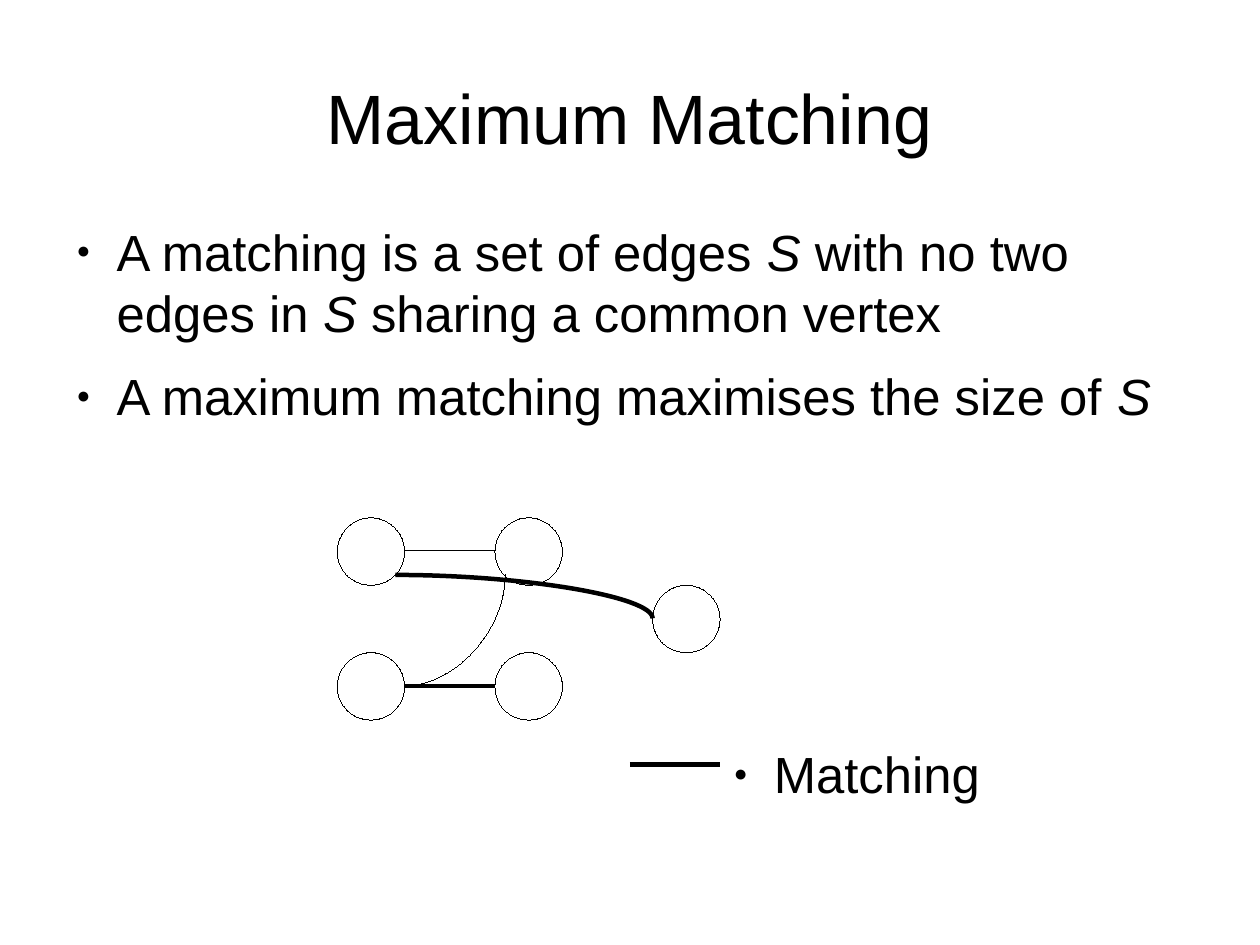
from dataclasses import dataclass

from lxml.etree import SubElement
from pptx import Presentation
from pptx.dml.color import RGBColor
from pptx.enum.shapes import MSO_CONNECTOR, MSO_SHAPE
from pptx.enum.text import MSO_ANCHOR, MSO_AUTO_SIZE, PP_ALIGN
from pptx.oxml.ns import qn
from pptx.util import Inches, Pt

COLORS = {"ink": "000000", "paper": "FFFFFF"}
FONT = "Arial"
CM_PER_INCH = 2.54
DIAMETER = 0.59
COLUMN_STEP = 1.38
GRAPH_LEFT, GRAPH_TOP = 2.95, 4.53
HAIRLINE, THICK = 0.01, 2.83


@dataclass
class Span:
    text: str
    italic: bool = False


@dataclass
class Vertex:
    column: int
    row: int


@dataclass
class Edge:
    start: tuple[float, float]
    end: tuple[float, float]
    width: float


SET_NAME = Span("S", True)
DEFINITIONS = [
    [Span("A matching is a set of edges "), SET_NAME, Span(" with no two edges in "),
     SET_NAME, Span(" sharing a common vertex")],
    [Span("A maximum matching maximises the size of "), SET_NAME],
]
LEGEND = [[Span("Matching")]]
VERTICES = [Vertex(0, 0), Vertex(1, 0), Vertex(0, 2), Vertex(1, 2), Vertex(2, 1)]
EDGES = [
    Edge((3.54, 4.82), (4.33, 4.82), HAIRLINE),
    Edge((3.54, 6), (4.42, 5.03), HAIRLINE),
    Edge((3.46, 5.03), (5.71, 5.41), THICK),
    Edge((3.54, 6), (4.33, 6), THICK),
    Edge((5.51, 6.69), (6.3, 6.69), THICK),
]


def color(name: str) -> RGBColor:
    return RGBColor.from_string(COLORS[name])


def place(box, left: float, top: float, width: float, height: float, anchor) -> None:
    box.left, box.top = Inches(left), Inches(top)
    box.width, box.height = Inches(width), Inches(height)
    frame = box.text_frame
    frame.margin_left = frame.margin_top = frame.margin_right = frame.margin_bottom = 0
    frame.word_wrap = True
    frame.auto_size = MSO_AUTO_SIZE.NONE
    frame.vertical_anchor = anchor


def add_span(para, span: Span, size: float) -> None:
    run = para.add_run()
    run.text = span.text
    run.font.name = FONT
    run.font.size = Pt(size)
    run.font.italic = span.italic
    run.font.color.rgb = color("ink")


def add_bullet(para) -> None:
    properties = para._p.get_or_add_pPr()
    properties.set("marL", str(Inches(0.47)))
    properties.set("indent", str(Inches(-0.35)))
    bullet_color = SubElement(properties, qn("a:buClr"))
    SubElement(bullet_color, qn("a:srgbClr"), val=COLORS["ink"])
    SubElement(properties, qn("a:buSzPct"), val="45000")
    SubElement(properties, qn("a:buFont"), typeface=FONT)
    SubElement(properties, qn("a:buChar"), char="●")


def fill_list(box, items: list[list[Span]]) -> None:
    frame = box.text_frame
    for index, spans in enumerate(items):
        para = frame.add_paragraph() if index else frame.paragraphs[0]
        add_bullet(para)
        para.line_spacing = 1.0
        para.space_before = Pt(0)
        para.space_after = Pt(14.2)
        for span in spans:
            add_span(para, span, 32)


def draw_vertex(page, vertex: Vertex) -> None:
    circle = page.shapes.add_shape(
        MSO_SHAPE.OVAL,
        Inches(GRAPH_LEFT + vertex.column * COLUMN_STEP),
        Inches(GRAPH_TOP + vertex.row * DIAMETER),
        Inches(DIAMETER), Inches(DIAMETER))
    circle.shadow.inherit = False
    circle.fill.solid()
    circle.fill.fore_color.rgb = color("paper")
    circle.line.color.rgb = color("ink")
    circle.line.width = Pt(HAIRLINE)


def draw_edge(page, edge: Edge) -> None:
    """Draw a quarter-turn curve, which is flat when both ends are level."""
    curve = page.shapes.add_connector(
        MSO_CONNECTOR.CURVE, *(Inches(value) for value in edge.start + edge.end))
    curve.line.color.rgb = color("ink")
    curve.line.width = Pt(edge.width)
    properties = curve._element.spPr
    properties.find(qn("a:prstGeom")).set("prst", "curvedConnector2")
    SubElement(properties, qn("a:effectLst"))


def main() -> None:
    deck = Presentation()
    deck.slide_width = Inches(28 / CM_PER_INCH)
    deck.slide_height = Inches(21 / CM_PER_INCH)
    page = deck.slides.add_slide(deck.slide_layouts.get_by_name("Two Content"))
    page.background.fill.solid()
    page.background.fill.fore_color.rgb = color("paper")

    title, definitions, legend = list(page.placeholders)[:3]
    place(title, 0.55, 0.38, 9.92, 1.28, MSO_ANCHOR.MIDDLE)
    heading = title.text_frame.paragraphs[0]
    heading.alignment = PP_ALIGN.CENTER
    add_span(heading, Span("Maximum Matching"), 44)

    place(definitions, 0.55, 1.93, 9.92, 5.36, MSO_ANCHOR.TOP)
    fill_list(definitions, DEFINITIONS)
    place(legend, 6.3, 6.5, 3.15, 0.59, MSO_ANCHOR.TOP)
    fill_list(legend, LEGEND)

    for vertex in VERTICES:
        draw_vertex(page, vertex)
    for edge in EDGES:
        draw_edge(page, edge)

    deck.save("out.pptx")


if __name__ == "__main__":
    main()
